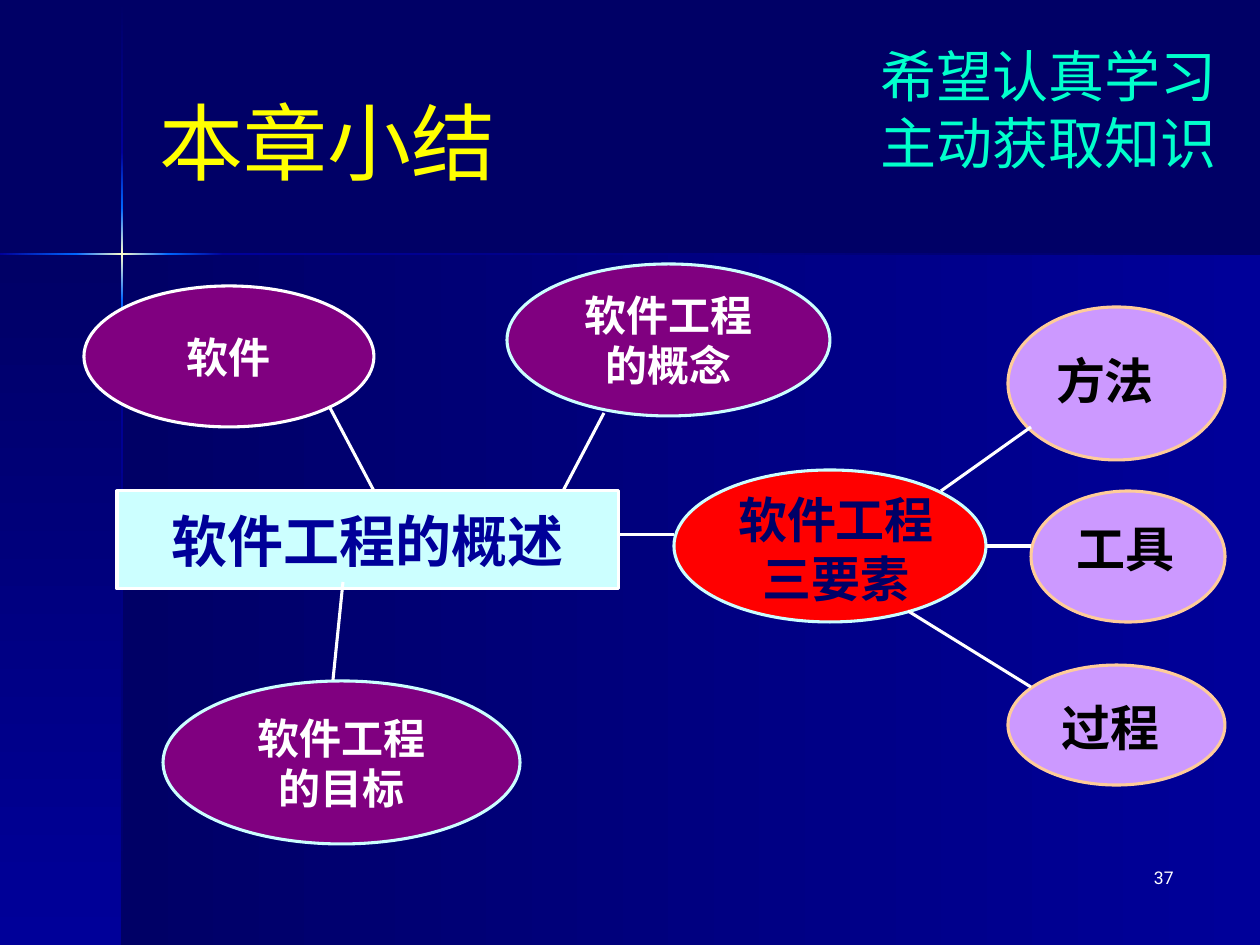
from copy import deepcopy
from pptx import Presentation
from pptx.dml.color import RGBColor
from pptx.enum.shapes import MSO_CONNECTOR, MSO_SHAPE
from pptx.enum.text import MSO_ANCHOR, MSO_AUTO_SIZE, PP_ALIGN
from pptx.oxml.ns import qn
from pptx.util import Pt
from lxml import etree

RECT, OVAL = MSO_SHAPE.RECTANGLE, MSO_SHAPE.OVAL
LEFT, CENTER, RIGHT = PP_ALIGN.LEFT, PP_ALIGN.CENTER, PP_ALIGN.RIGHT
TOP, MIDDLE = MSO_ANCHOR.TOP, MSO_ANCHOR.MIDDLE
PX = 914400 / 126

THEME = {
    "night": "000066", "navy": "000099", "glow": "0066FF", "spark": "FFFFCC",
    "yellow": "FFFF00", "mint": "00FFCC", "white": "FFFFFF", "black": "000000",
    "ice": "CCFFFF", "purple": "800080", "red": "FF0000",
    "lilac": "CC99FF", "peach": "FFCC99",
    "sans": "Roboto", "serif": "Times New Roman",
    "title": 48, "large": 32, "label": 28, "node": 24, "number": 10, "line": 1.75,
}


def color(name):
    return RGBColor.from_string(THEME[name])


def write(shape, lines, size, ink, face="sans", bold=False,
          align=CENTER, anchor=TOP, wrap=True):
    frame = shape.text_frame
    frame.text = "\n".join(lines)
    settings = {"auto_size": MSO_AUTO_SIZE.NONE, "word_wrap": wrap,
                "vertical_anchor": anchor}
    for key, value in settings.items():
        setattr(frame, key, value)
    font_format = {"size": Pt(THEME[size]), "name": THEME[face], "bold": bold}
    for para in frame.paragraphs:
        para.alignment = align
        for key, value in font_format.items():
            setattr(para.font, key, value)
        para.font.color.rgb = color(ink)


deck = Presentation()
deck.slide_width, deck.slide_height = round(1260 * PX), round(945 * PX)
page = deck.slides.add_slide(deck.slide_layouts[5])
page.background.fill.solid()
page.background.fill.fore_color.rgb = color("night")

# Background panels and the glowing cross: box, gradient colours, direction
DOWN, LEFTWARD = 270, 180
bands = [
    ((122, 255, 1138, 690), ["navy", "night"], LEFTWARD),
    ((0, 255, 122, 690), ["night", "navy"], DOWN),
    ((121, 1, 2, 151), ["night", "navy"], DOWN),
    ((121, 355, 2, 590), ["navy", "night"], DOWN),
    ((223, 253, 1037, 2), ["night", "navy"], LEFTWARD),
    ((121, 300, 2, 55), ["glow", "navy"], DOWN),
    ((121, 152, 2, 56), ["navy", "glow"], DOWN),
    ((121, 208, 2, 92), ["glow", "spark", "glow"], DOWN),
    ((0, 253, 76, 2), ["glow", "navy"], LEFTWARD),
    ((168, 253, 55, 2), ["navy", "glow"], LEFTWARD),
    ((76, 253, 92, 2), ["glow", "spark", "glow"], LEFTWARD),
]
for box, names, angle in bands:
    band = page.shapes.add_shape(RECT, *(round(v * PX) for v in box))
    band.shadow.inherit = False
    band.line.fill.background()
    band.fill.gradient()
    band.fill.gradient_angle = angle
    if len(names) == 3:
        first = band.fill._fill._gradFill.find(qn("a:gsLst"))[0]
        first.addnext(deepcopy(first))
    for index, (stop, name) in enumerate(zip(band.fill.gradient_stops, names)):
        stop.position = index / (len(names) - 1)
        stop.color.rgb = color(name)

# Title
title = page.shapes.title
title_box = {"left": 147, "top": 42, "width": 1040, "height": 198}
for key, value in title_box.items():
    setattr(title, key, round(value * PX))
write(title, ["本章小结"], "title", "yellow", align=LEFT, anchor=MIDDLE)

# Map nodes: shape, box, fill, outline, text lines, type size, text colour
nodes = [
    (RECT, (117, 491, 502, 98), "ice", "white", ["软件工程的概述"], "large", "navy"),
    (OVAL, (84, 286, 290, 141), "purple", "white", ["软件"], "node", "white"),
    (OVAL, (507, 264, 323, 152), "purple", "ice", ["软件工程", "的概念"], "node", "white"),
    (OVAL, (163, 681, 357, 163), "purple", "ice", ["软件工程", "的目标"], "node", "white"),
    (OVAL, (674, 470, 312, 152), "red", "ice", [], "", ""),
    (OVAL, (1008, 307, 217, 153), "lilac", "peach", [], "", ""),
    (OVAL, (1031, 491, 194, 131), "lilac", "peach", [], "", ""),
    (OVAL, (1008, 665, 217, 120), "lilac", "peach", [], "", ""),
]
for kind, box, fill, edge, lines, size, ink in nodes:
    node = page.shapes.add_shape(kind, *(round(v * PX) for v in box))
    node.shadow.inherit = False
    node.fill.solid()
    node.fill.fore_color.rgb = color(fill)
    node.line.color.rgb = color(edge)
    node.line.width = Pt(THEME["line"])
    if lines:
        write(node, lines, size, ink, bold=True, anchor=MIDDLE, wrap=False)

# Links between nodes: start and end points
links = [
    (941, 491, 1031, 427), (986, 546, 1031, 546), (908, 611, 1031, 687),
    (343, 582, 333, 680), (619, 535, 674, 535), (604, 413, 563, 491),
    (329, 406, 374, 491),
]
for ends in links:
    link = page.shapes.add_connector(MSO_CONNECTOR.STRAIGHT,
                                     *(round(v * PX) for v in ends))
    link.line.color.rgb = color("white")
    link.line.width = Pt(THEME["line"])
    etree.SubElement(link._element.spPr, qn("a:effectLst"))

# Free text: motto, labels over the ovals, page number
label = {"size": "label", "ink": "black", "face": "serif", "bold": True}
texts = [
    ((868, 35, 392, 147), ["希望认真学习", "主动获取知识"],
     {"size": "large", "ink": "mint", "align": LEFT}),
    ((412, 483, 848, 131), ["软件工程", "三要素"], {**label, "ink": "night"}),
    ((862, 344, 486, 72), ["方法"], label),
    ((679, 691, 863, 131), ["过程"], label),
    ((699, 512, 853, 131), ["工具"], label),
    ((924, 861, 262, 63), ["37"],
     {"size": "number", "ink": "white", "align": RIGHT}),
]
for box, lines, text_format in texts:
    text_box = page.shapes.add_textbox(*(round(v * PX) for v in box))
    write(text_box, lines, **text_format)

deck.save("out.pptx")
